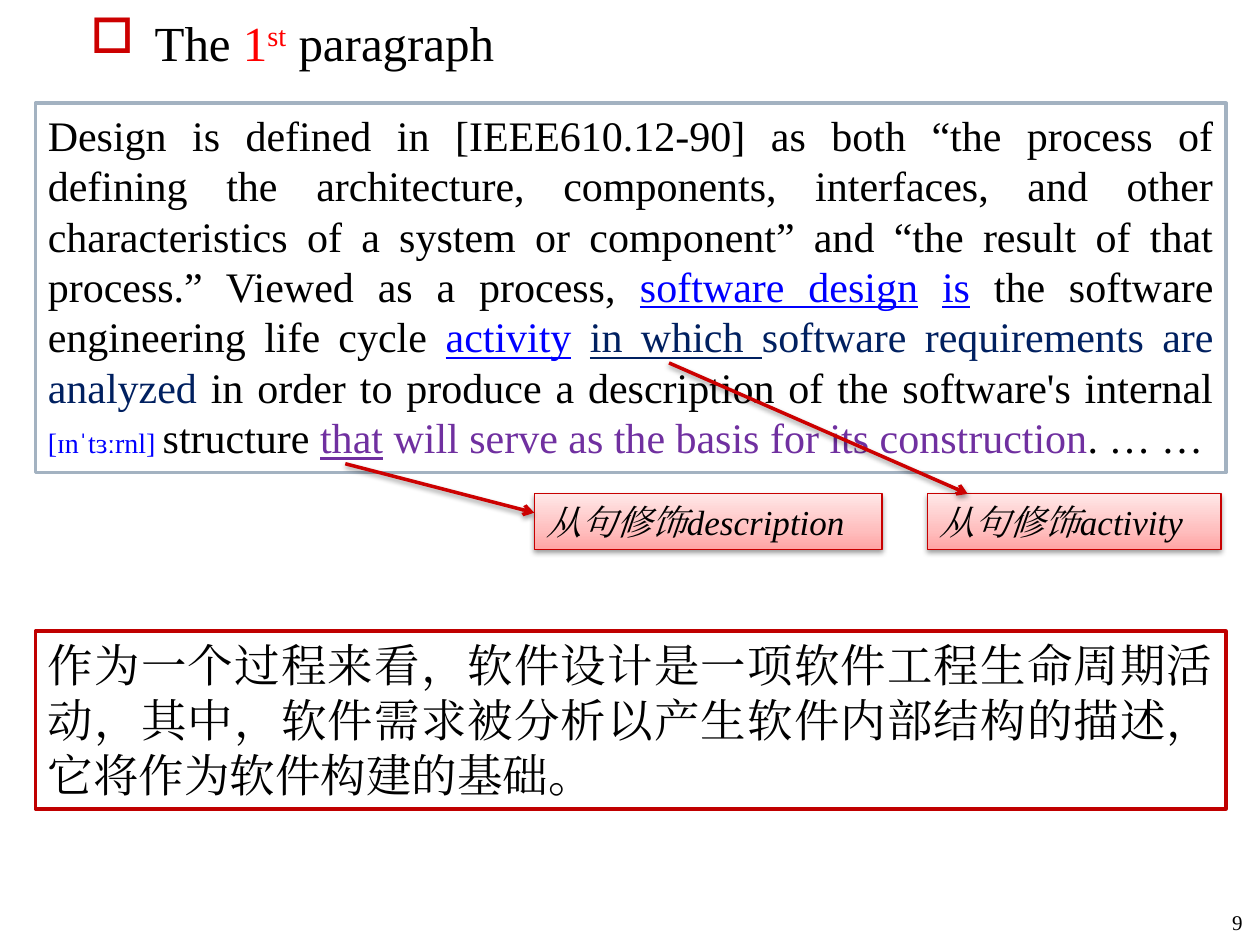
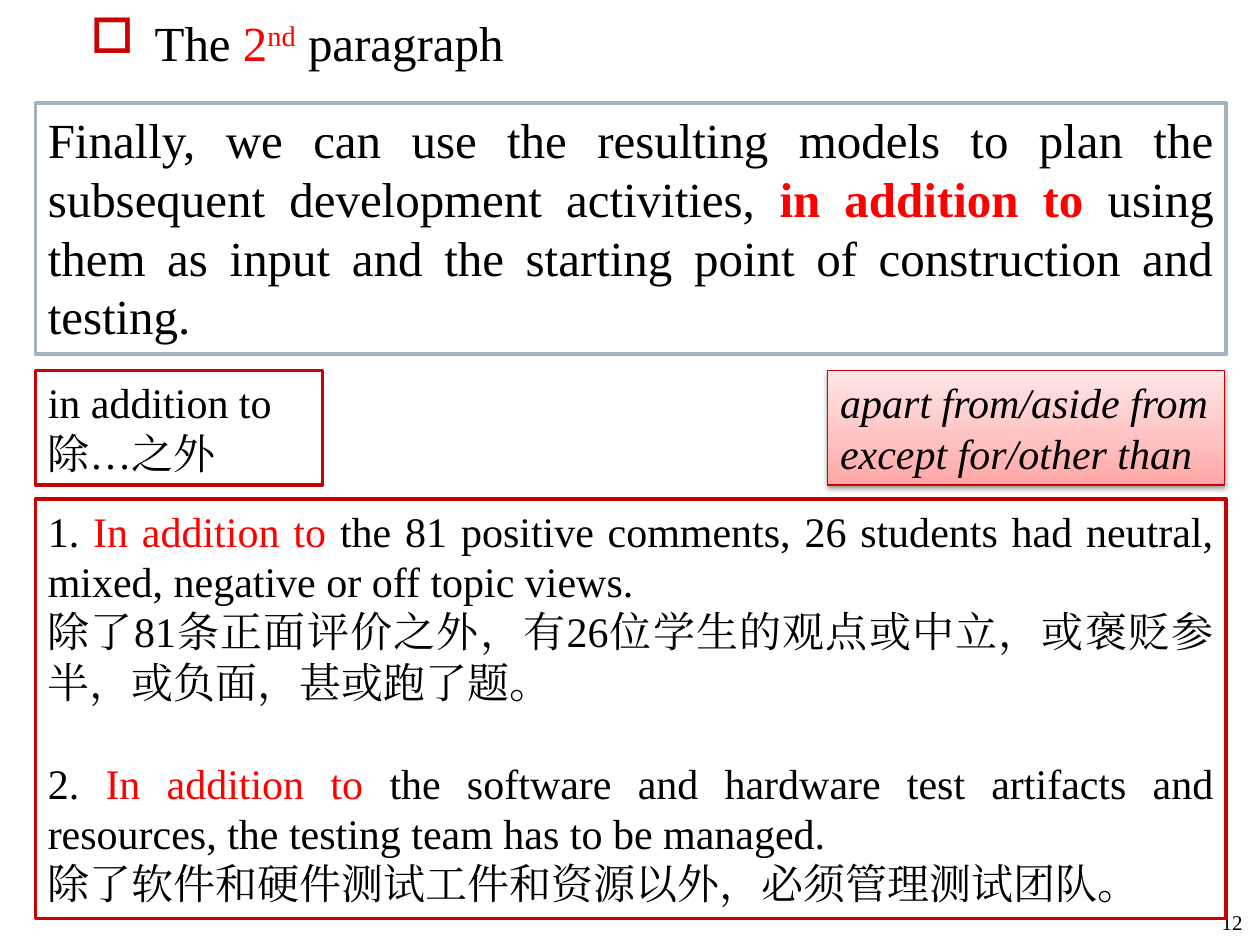
from dataclasses import dataclass

from lxml import etree
from pptx import Presentation
from pptx.dml.color import RGBColor
from pptx.enum import shapes, text
from pptx.oxml import parse_xml
from pptx.oxml.ns import nsdecls, qn
from pptx.util import Pt

FONT = "Times New Roman"
BLACK = RGBColor(0x00, 0x00, 0x00)
WHITE = RGBColor(0xFF, 0xFF, 0xFF)
RED = RGBColor(0xFF, 0x00, 0x00)
BLUE = RGBColor(0x00, 0x00, 0xFF)
NAVY = RGBColor(0x00, 0x20, 0x60)
PURPLE = RGBColor(0x70, 0x30, 0xA0)
GREY = RGBColor(0xA3, 0xB2, 0xC1)
CRIMSON = RGBColor(0xCC, 0x00, 0x00)
DARK_RED = RGBColor(0xC0, 0x00, 0x00)
NOTE_RED = RGBColor(0xC8, 0x00, 0x00)
NOTE_STOPS = (
    (0, RGBColor(0xFF, 0xA5, 0xA5)),
    (35, RGBColor(0xFF, 0xBF, 0xBF)),
    (100, RGBColor(0xFF, 0xE7, 0xE7)),
)
LEFT, WIDTH = 20.2, 680.4
NOTE_TOP, NOTE_HEIGHT = 282.2, 31.7
TERM_TOP, TERM_HEIGHT = 211.7, 65.5


@dataclass(frozen=True)
class Span:
    """A stretch of text in one style; size 0 means the size of its box."""
    text: str
    color: RGBColor = BLACK
    underline: bool = False
    bold: bool = False
    raised: bool = False
    size: float = 0


@dataclass(frozen=True)
class Para:
    """A paragraph with its spans and the space above it."""
    spans: tuple[Span, ...]
    before: float = 0


@dataclass(frozen=True)
class Panel:
    """A bordered rectangle of text; a note is shaded and italic."""
    left: float
    top: float
    width: float
    height: float
    size: float
    paras: tuple[Para, ...]
    border: RGBColor = CRIMSON
    justified: bool = True
    note: bool = False


@dataclass(frozen=True)
class Arrow:
    """A straight arrow between two points."""
    start: tuple[float, float]
    end: tuple[float, float]


@dataclass(frozen=True)
class Page:
    """The contents of one slide."""
    number: str
    title: Para
    panels: tuple[Panel, ...]
    arrows: tuple[Arrow, ...] = ()


def line(*spans: Span | str, before: float = 0) -> Para:
    """Make a paragraph from spans and plain strings."""
    return Para(tuple(Span(s) if isinstance(s, str) else s for s in spans), before)


def note(left: float, top: float, width: float, height: float, size: float, *lines: str) -> Panel:
    """Make a shaded note."""
    return Panel(left, top, width, height, size, tuple(line(words) for words in lines),
                 NOTE_RED, justified=False, note=True)


def title(ordinal: str, suffix: str) -> Para:
    """Make the title that counts a paragraph."""
    return line("The ", Span(ordinal, RED), Span(suffix, RED, raised=True), " paragraph")


def write(para, content: Para, size: float, italic: bool = False) -> None:
    """Fill a paragraph with formatted spans."""
    if content.before:
        para.space_before = Pt(content.before)
    for span in content.spans:
        run = para.add_run()
        run.text = span.text
        run.font.name = FONT
        run.font.size = Pt(span.size or size)
        run.font.color.rgb = span.color
        run.font.bold = span.bold
        run.font.italic = italic
        run.font.underline = span.underline
        properties = run.font._element
        etree.SubElement(properties, qn("a:ea"), typeface=FONT)
        if span.raised:
            properties.set("baseline", "30000")


def add_shadow(properties) -> None:
    """Put the soft lower shadow on a shape."""
    for effects in properties.findall(qn("a:effectLst")):
        properties.remove(effects)
    properties.append(parse_xml(
        f'<a:effectLst {nsdecls("a")}><a:outerShdw blurRad="{Pt(3.1)}" dist="{Pt(1.6)}" '
        'dir="5400000" rotWithShape="0"><a:srgbClr val="000000"><a:alpha val="38000"/>'
        '</a:srgbClr></a:outerShdw></a:effectLst>'))


def shade(shape) -> None:
    """Fill a note with the pink gradient, darkest at the foot."""
    shape.fill.gradient()
    shape.fill.gradient_angle = 90
    stops = shape.element.spPr.find(qn("a:gradFill")).find(qn("a:gsLst"))
    for stop in list(stops):
        stops.remove(stop)
    for position, color in NOTE_STOPS:
        stop = etree.SubElement(stops, qn("a:gs"), pos=str(position * 1000))
        etree.SubElement(stop, qn("a:srgbClr"), val=str(color))


def draw_title(slide, content: Para) -> None:
    """Draw the title with its square bullet."""
    box = slide.shapes.add_textbox(Pt(44.6), Pt(3.6), Pt(630), Pt(391))
    box.text_frame.word_wrap = True
    para = box.text_frame.paragraphs[0]
    properties = para._p.get_or_add_pPr()
    properties.set("marL", str(Pt(36.7)))
    properties.set("indent", str(-Pt(36.7)))
    color = etree.SubElement(properties, qn("a:buClr"))
    etree.SubElement(color, qn("a:srgbClr"), val=str(CRIMSON))
    etree.SubElement(properties, qn("a:buChar"), char="□")
    write(para, content, 28)


def draw_number(slide, number: str) -> None:
    """Draw the page number in the lower right corner."""
    box = slide.shapes.add_textbox(Pt(674.6), Pt(496.8), Pt(42.5), Pt(41))
    frame = box.text_frame
    frame.word_wrap = True
    frame.vertical_anchor = text.MSO_ANCHOR.BOTTOM
    frame.paragraphs[0].alignment = text.PP_ALIGN.RIGHT
    write(frame.paragraphs[0], line(number), 12)


def draw_panel(slide, panel: Panel) -> None:
    """Draw a bordered panel and its text."""
    shape = slide.shapes.add_shape(shapes.MSO_SHAPE.RECTANGLE, Pt(panel.left), Pt(panel.top),
                                   Pt(panel.width), Pt(panel.height))
    shape.shadow.inherit = False
    shape.line.color.rgb = panel.border
    shape.line.width = Pt(0.75 if panel.note else 2)
    if panel.note:
        shade(shape)
        add_shadow(shape.element.spPr)
    else:
        shape.fill.solid()
        shape.fill.fore_color.rgb = WHITE
    frame = shape.text_frame
    frame.word_wrap = True
    frame.vertical_anchor = text.MSO_ANCHOR.TOP
    for index, content in enumerate(panel.paras):
        para = frame.add_paragraph() if index else frame.paragraphs[0]
        para.alignment = text.PP_ALIGN.JUSTIFY if panel.justified else text.PP_ALIGN.LEFT
        write(para, content, panel.size, panel.note)


def draw_arrow(slide, arrow: Arrow) -> None:
    """Draw a red arrow with a shadow."""
    connector = slide.shapes.add_connector(
        shapes.MSO_CONNECTOR.STRAIGHT, *(Pt(value) for value in arrow.start + arrow.end))
    connector.line.color.rgb = CRIMSON
    connector.line.width = Pt(2)
    properties = connector.element.spPr
    etree.SubElement(properties.find(qn("a:ln")), qn("a:tailEnd"), type="arrow")
    add_shadow(properties)


DEFINITION = line(
    "Design is defined in [IEEE610.12-90] as both “the process of defining the architecture, "
    "components, interfaces, and other characteristics of a system or component” and “the result "
    "of that process.” Viewed as a process, ",
    Span("software design", BLUE, underline=True), Span(" ", BLUE),
    Span("is", BLUE, underline=True),
    " the software engineering life cycle ",
    Span("activity", BLUE, underline=True), " ",
    Span("in which ", NAVY, underline=True),
    Span("software requirements are analyzed", NAVY),
    " in order to produce a description of the software's internal ",
    Span("[ɪnˈtɜːrnl] ", BLUE, size=16),
    "structure ",
    Span("that", PURPLE, underline=True),
    Span(" will serve as the basis for its construction", PURPLE),
    ". … …",
)
TRANSLATION = line("作为一个过程来看，软件设计是一项软件工程生命周期活动，其中，软件需求被分析以产生"
                   "软件内部结构的描述，它将作为软件构建的基础。")
PLANNING = line(
    "Finally, we can use the resulting models to plan the subsequent development activities, ",
    Span("in addition to ", RED, bold=True),
    "using them as input and the starting point of construction and testing.",
)
PHRASE = Span("In addition to ", RED)
EXAMPLES = (
    line("1. ", PHRASE, "the 81 positive comments, 26 students had neutral, mixed, negative "
         "or off topic views."),
    line("除了81条正面评价之外，有26位学生的观点或中立，或褒贬参半，或负面，甚或跑了题。"),
    line("2. ", PHRASE, "the software and hardware test artifacts and resources, the testing "
         "team has to be managed.", before=28.8),
    line("除了软件和硬件测试工件和资源以外，必须管理测试团队。"),
)
PAGES = (
    Page("9", title("1", "st"), (
        Panel(LEFT, 59, WIDTH, 211, 24, (DEFINITION,), GREY),
        Panel(LEFT, 360.7, WIDTH, 101.5, 26, (TRANSLATION,), DARK_RED),
        note(529.9, NOTE_TOP, 167.8, NOTE_HEIGHT, 20, "从句修饰activity"),
        note(305.3, NOTE_TOP, 198.7, NOTE_HEIGHT, 20, "从句修饰description"),
    ), (
        Arrow((382.3, 207.4), (553, NOTE_TOP)),
        Arrow((197.3, 265), (305.3, 293)),
    )),
    Page("12", title("2", "nd"), (
        Panel(LEFT, 59, WIDTH, 143.3, 28, (PLANNING,), GREY),
        Panel(LEFT, 285.1, WIDTH, 239.8, 24, EXAMPLES),
        Panel(LEFT, TERM_TOP, 164.2, TERM_HEIGHT, 24,
              (line("in addition to"), line("除…之外")), justified=False),
        note(473, TERM_TOP, 226.8, TERM_HEIGHT, 24,
             "apart from/aside from", "except for/other than"),
    )),
)


def main() -> None:
    """Build the deck and save it."""
    deck = Presentation()
    deck.slide_width, deck.slide_height = Pt(720), Pt(540)
    for page in PAGES:
        slide = deck.slides.add_slide(deck.slide_layouts[6])
        draw_title(slide, page.title)
        draw_number(slide, page.number)
        for panel in page.panels:
            draw_panel(slide, panel)
        for arrow in page.arrows:
            draw_arrow(slide, arrow)
    deck.save("out.pptx")


if __name__ == "__main__":
    main()
